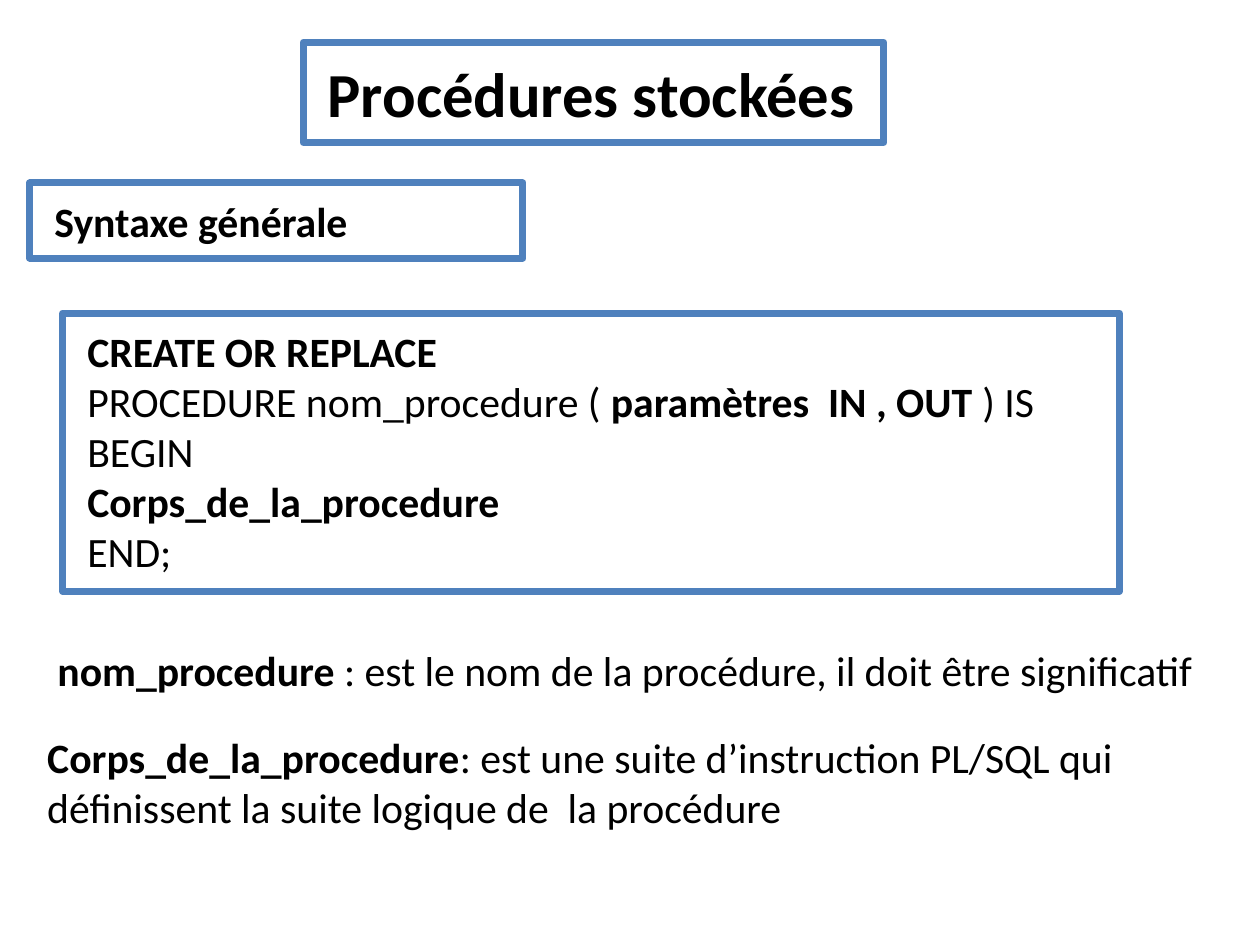
"""Build the slide on the general syntax of stored procedures."""
from typing import NamedTuple

from pptx import Presentation
from pptx.dml.color import RGBColor
from pptx.enum.shapes import MSO_SHAPE
from pptx.enum.text import MSO_ANCHOR, MSO_AUTO_SIZE, PP_ALIGN
from pptx.shapes.autoshape import Shape
from pptx.slide import Slide
from pptx.util import Pt

RECTANGLE = MSO_SHAPE.RECTANGLE
TOP = MSO_ANCHOR.TOP
GROW = MSO_AUTO_SIZE.SHAPE_TO_FIT_TEXT
LEFT = PP_ALIGN.LEFT

FONT = "Calibri"
BLACK = "000000"
WHITE = "FFFFFF"
BLUE = "4F81BD"


class Words(NamedTuple):
    text: str
    bold: bool = False


class Block(NamedTuple):
    left: float
    top: float
    width: float
    height: float
    paragraphs: list[list[Words]]
    size: float = 12
    framed: bool = True
    wrap: bool = True


def colour(value: str) -> RGBColor:
    return RGBColor.from_string(value)


def write(shape: Shape, block: Block) -> None:
    frame = shape.text_frame
    frame.word_wrap = block.wrap
    frame.auto_size = GROW
    frame.vertical_anchor = TOP
    for index, words in enumerate(block.paragraphs):
        paragraph = frame.add_paragraph() if index else frame.paragraphs[0]
        paragraph.alignment = LEFT
        for part in words:
            run = paragraph.add_run()
            run.text = part.text
            run.font.name = FONT
            run.font.size = Pt(block.size)
            run.font.bold = part.bold
            run.font.color.rgb = colour(BLACK)


def draw(slide: Slide, block: Block) -> None:
    area = [Pt(length) for length in block[:4]]
    if block.framed:
        shape = slide.shapes.add_shape(RECTANGLE, *area)
        shape.shadow.inherit = False
        shape.fill.solid()
        shape.fill.fore_color.rgb = colour(WHITE)
        shape.line.color.rgb = colour(BLUE)
        shape.line.width = Pt(2)
    else:
        shape = slide.shapes.add_textbox(*area)
    write(shape, block)


BLOCKS = [
    Block(87.1, 12.2, 167, 28.8, [[Words("Procédures stockées", True)]],
          size=18, wrap=False),
    Block(8.6, 52.6, 141.8, 21.6, [[Words("Syntaxe générale", True)]]),
    Block(18, 90, 303.8, 79.9, [
        [Words("CREATE OR REPLACE", True)],
        [Words("PROCEDURE nom_procedure ( "),
         Words("paramètres  IN , OUT", True), Words(" ) IS")],
        [Words("BEGIN")],
        [Words("Corps_de_la_procedure", True)],
        [Words("END;")],
    ]),
    Block(9.4, 181.8, 344.9, 21.6, [[
        Words("nom_procedure", True),
        Words(" : est le nom de la procédure, il doit être significatif"),
    ]], framed=False, wrap=False),
    Block(6.5, 206.8, 344.9, 36, [[
        Words("Corps_de_la_procedure", True),
        Words(": est une suite d’instruction PL/SQL qui définissent "
              "la suite logique de  la procédure"),
    ]], framed=False),
]

presentation = Presentation()
presentation.slide_width = Pt(362.16)
presentation.slide_height = Pt(272.16)
syntax_slide = presentation.slides.add_slide(presentation.slide_layouts[6])
for syntax_block in BLOCKS:
    draw(syntax_slide, syntax_block)
presentation.save("out.pptx")
